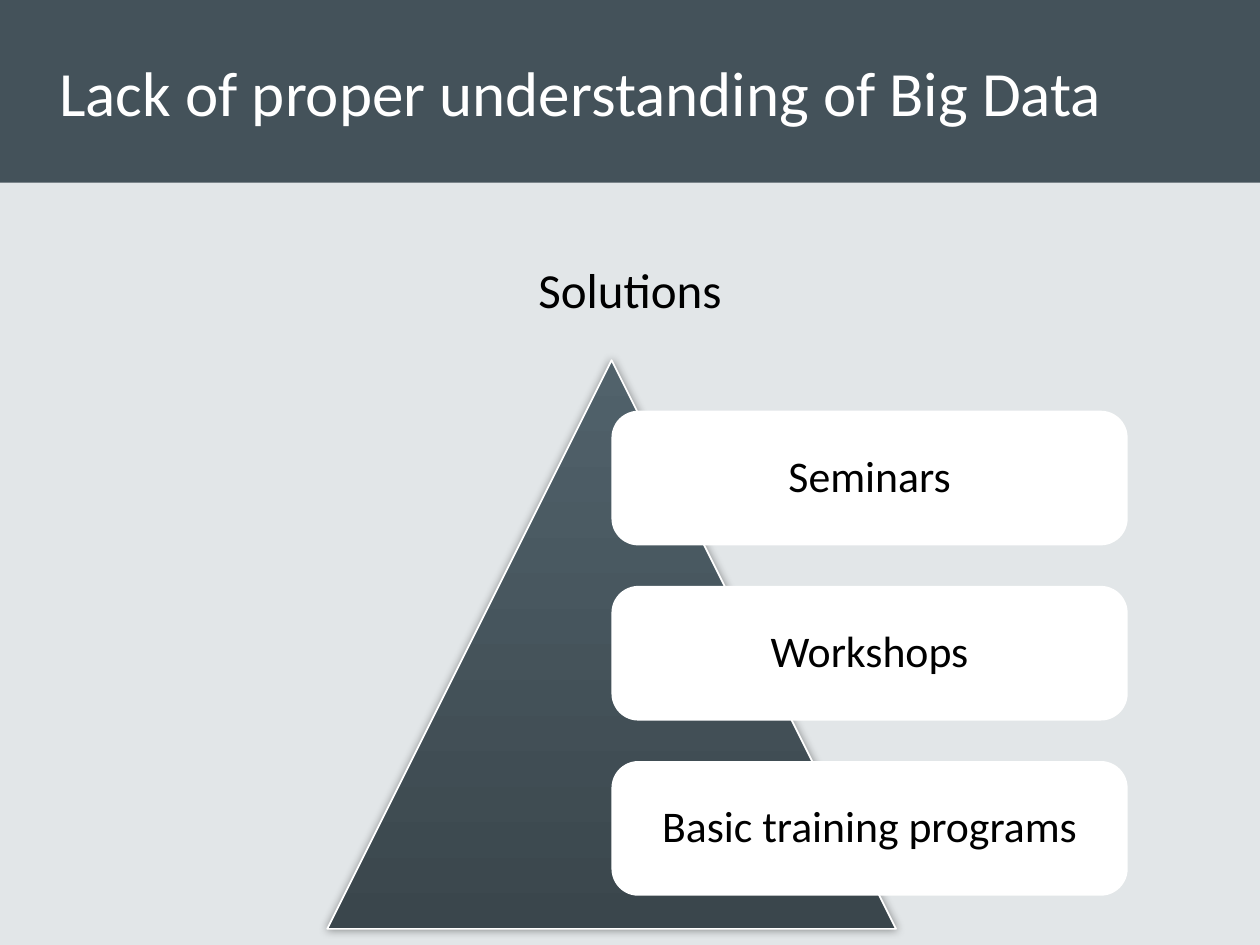
from lxml.etree import SubElement
from pptx import Presentation
from pptx.dml.color import RGBColor
from pptx.enum.shapes import MSO_SHAPE
from pptx.enum.text import MSO_ANCHOR, PP_ALIGN
from pptx.oxml.ns import qn
from pptx.util import Pt

SLATE = RGBColor(0x44, 0x52, 0x5A)
LIGHT = RGBColor(0x51, 0x62, 0x6B)
DARK = RGBColor(0x3A, 0x46, 0x4C)
PALE = RGBColor(0xE2, 0xE6, 0xE8)
WHITE = RGBColor(0xFF, 0xFF, 0xFF)
BLACK = RGBColor(0x00, 0x00, 0x00)
FONT = "Calibri"
STEPS = ["Seminars", "Workshops", "Basic training programs"]


def add_shape(slide, kind, box, fill=None):
    shape = slide.shapes.add_shape(kind, *map(Pt, box))
    shape.shadow.inherit = False
    shape.line.fill.background()
    if fill is not None:
        shape.fill.solid()
        shape.fill.fore_color.rgb = fill
    return shape


def set_text(frame, text, size, color, align, space=1.0):
    frame.word_wrap = True
    para = frame.paragraphs[0]
    para.alignment = align
    para.line_spacing = space
    run = para.add_run()
    run.text = text
    run.font.name = FONT
    run.font.size = Pt(size)
    run.font.color.rgb = color


def add_label(slide, box, text, size, color, align, space=1.0):
    frame = slide.shapes.add_textbox(*map(Pt, box)).text_frame
    set_text(frame, text, size, color, align, space)
    return frame


def add_glow(shape, blur, alpha):
    effects = shape._element.spPr.find(qn("a:effectLst"))
    shadow = SubElement(effects, qn("a:outerShdw"), blurRad=str(Pt(blur)),
                        dist="0", dir="0", rotWithShape="0")
    color = SubElement(shadow, qn("a:srgbClr"), val=str(BLACK))
    SubElement(color, qn("a:alpha"), val=str(alpha * 1000))


def add_peak(slide, box):
    peak = add_shape(slide, MSO_SHAPE.ISOSCELES_TRIANGLE, box)
    peak.fill.gradient()
    peak.fill.gradient_angle = 270
    for stop, color in zip(peak.fill.gradient_stops, (LIGHT, DARK)):
        stop.color.rgb = color
    peak.line.color.rgb = WHITE
    peak.line.width = Pt(1)
    add_glow(peak, 5, 40)


def add_card(slide, box, text):
    card = add_shape(slide, MSO_SHAPE.ROUNDED_RECTANGLE, box, WHITE)
    card.adjustments[0] = 0.2
    frame = card.text_frame
    frame.margin_left = frame.margin_right = Pt(11.5)
    frame.margin_top = frame.margin_bottom = Pt(11.5)
    frame.vertical_anchor = MSO_ANCHOR.MIDDLE
    set_text(frame, text, 25, BLACK, PP_ALIGN.CENTER, 0.9)


def main():
    deck = Presentation()
    deck.slide_width, deck.slide_height = Pt(720), Pt(540)
    slide = deck.slides.add_slide(deck.slide_layouts[6])
    slide.background.fill.solid()
    slide.background.fill.fore_color.rgb = PALE

    # Header band and title
    add_shape(slide, MSO_SHAPE.RECTANGLE, (0, 0, 720, 104.4), SLATE)
    title = add_label(slide, (26.8, 0, 660, 104.4),
                      "Lack of proper understanding of Big Data",
                      36, WHITE, PP_ALIGN.LEFT)
    title.vertical_anchor = MSO_ANCHOR.MIDDLE

    # Subtitle
    add_label(slide, (0, 128.2, 720, 63.4), "Solutions",
              28, BLACK, PP_ALIGN.CENTER, 1.5)

    # Pyramid with its cards
    add_peak(slide, (187, 205.8, 325, 325))
    for i, text in enumerate(STEPS):
        add_card(slide, (349.4, 234.7 + i * 100.1, 295, 77), text)

    deck.save("out.pptx")


if __name__ == "__main__":
    main()
